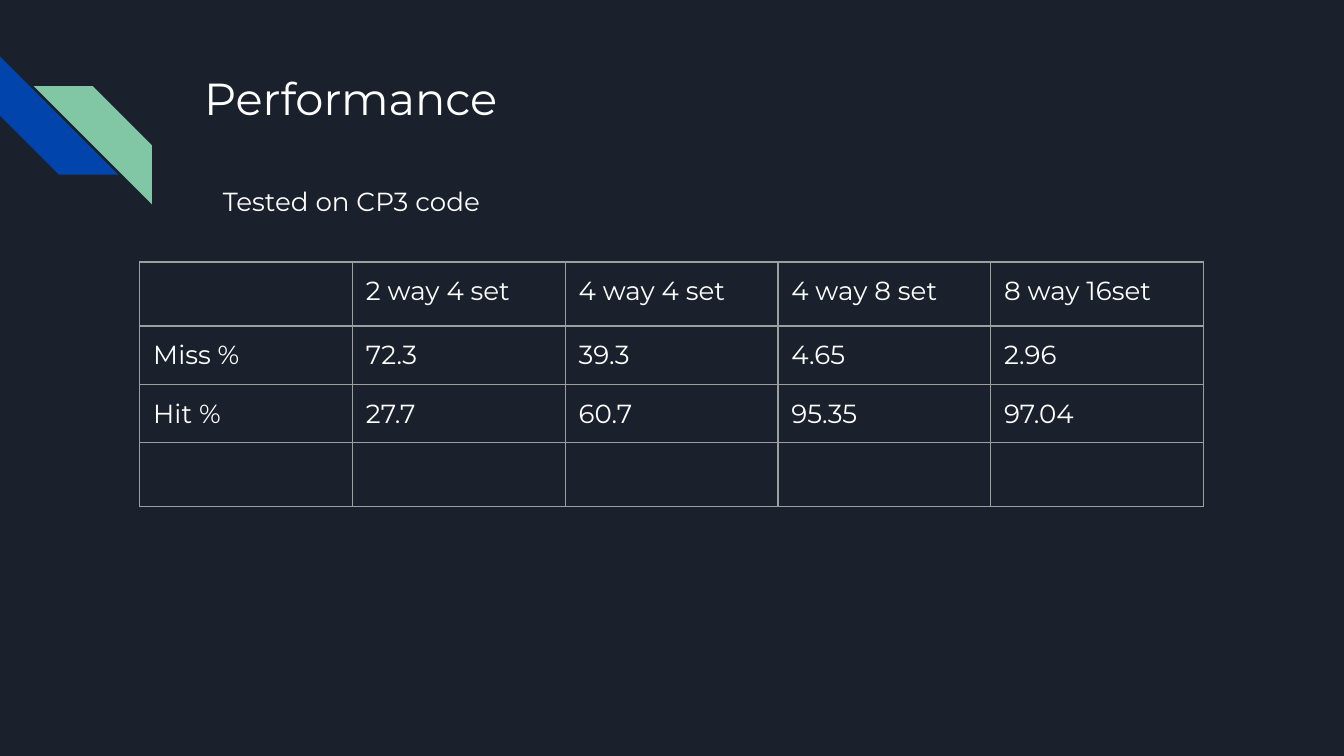
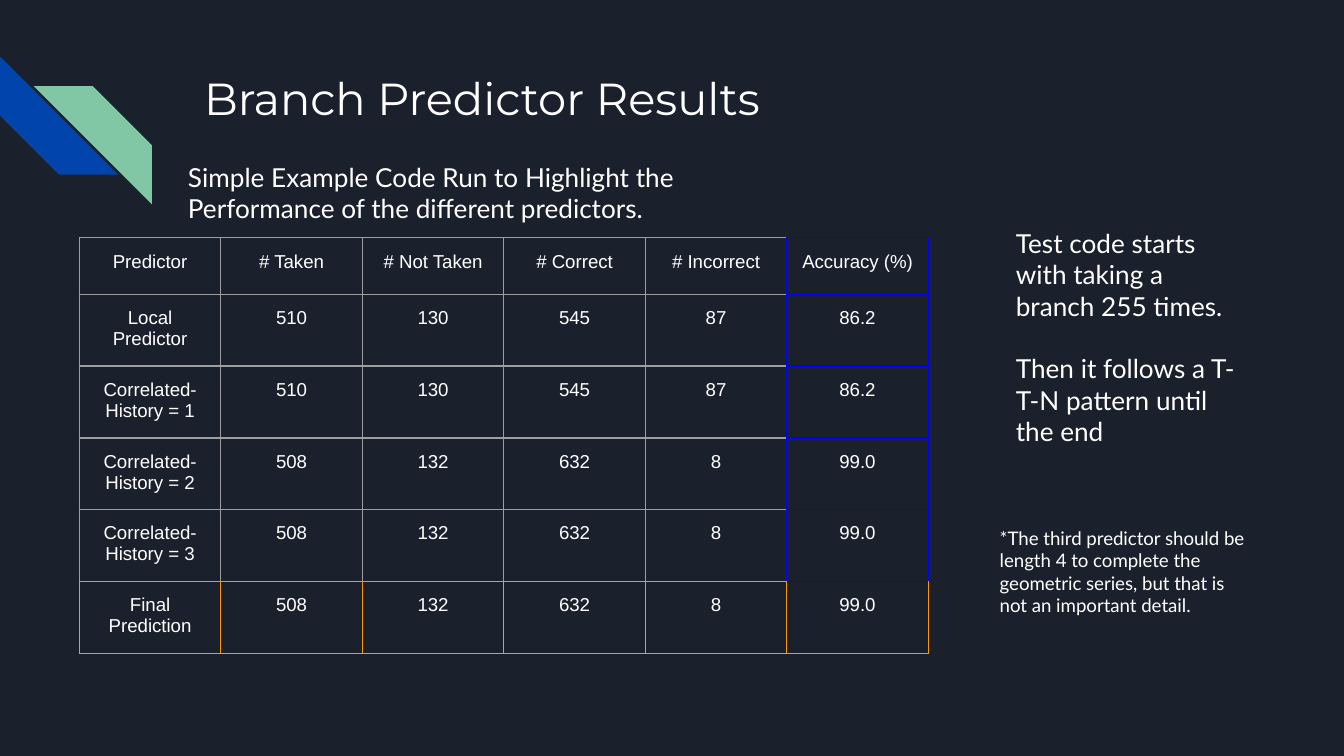
from itertools import product

from lxml.etree import SubElement
from pptx import Presentation
from pptx.dml.color import RGBColor
from pptx.enum.shapes import MSO_SHAPE as Shape
from pptx.enum.text import MSO_ANCHOR as Anchor, PP_ALIGN as Align
from pptx.oxml.ns import qn
from pptx.util import Inches, Pt

UNIT = 0.1
SIDES = {"L": (0, -1), "R": (0, 1), "T": (-1, 0), "B": (1, 0)}
FACING = {"L": "R", "R": "L", "T": "B", "B": "T"}


def grid(count):
    """Turn a number of grid columns or rows into a length."""
    return Inches(count * UNIT)


def color(hex_value):
    """Turn a hex string into a colour."""
    return RGBColor.from_string(hex_value)


class Deck:
    """Holds the shared style and the slide being built."""

    BACKDROP, INK, RULE = "1B212C", "FFFFFF", "9E9E9E"
    BLUE, GREEN = "0145AC", "82C7A5"
    FONT = "Montserrat"
    INSET = 1

    def __init__(self):
        """Start an empty widescreen presentation."""
        self.prs = Presentation()
        self.prs.slide_width, self.prs.slide_height = grid(100), grid(56.25)

    def page(self, title):
        """Add a slide with its backdrop, corner stripes and title."""
        self.slide = self.prs.slides.add_slide(self.prs.slide_layouts[6])
        backdrop = self.slide.background.fill
        backdrop.solid()
        backdrop.fore_color.rgb = color(self.BACKDROP)
        self.stripe(0, 4.2, self.BLUE).rotation = 270
        mirrored = self.stripe(2.5, 6.4, self.GREEN)
        mirrored._element.spPr.find(qn("a:xfrm")).set("flipH", "1")
        self.text(14.2, 4.3, 77, 7, [title], 24)

    def stripe(self, left, top, fill):
        """Add one diagonal corner stripe."""
        stripe = self.slide.shapes.add_shape(
            Shape.DIAGONAL_STRIPE, grid(left), grid(top), grid(8.8), grid(8.8))
        stripe.shadow.inherit = False
        stripe.fill.solid()
        stripe.fill.fore_color.rgb = color(fill)
        stripe.line.fill.background()
        return stripe

    def run(self, paragraph, words, size, font):
        """Add one styled run to a paragraph."""
        run = paragraph.add_run()
        run.text = words
        run.font.size, run.font.name = Pt(size), font
        run.font.color.rgb = color(self.INK)

    def text(self, left, top, width, height, paragraphs, size, font=FONT):
        """Add a text box, its paragraphs one line apart."""
        box = self.slide.shapes.add_textbox(
            grid(left), grid(top), grid(width), grid(height))
        frame = box.text_frame
        frame.word_wrap = True
        frame.vertical_anchor = Anchor.TOP
        frame.margin_left = frame.margin_right = grid(self.INSET)
        frame.margin_top = frame.margin_bottom = grid(self.INSET)
        for index, words in enumerate(paragraphs):
            paragraph = frame.add_paragraph() if index else frame.paragraphs[0]
            if index:
                paragraph.space_before = Pt(size * 1.2)
            self.run(paragraph, words, size, font)

    def table(self, left, top, column, heights, rows, size, font=FONT,
              align=Align.LEFT, outlines=()):
        """Add a ruled table; each outline recolours the edges of some cells."""
        table = self.slide.shapes.add_table(
            len(rows), len(rows[0]), grid(left), grid(top),
            grid(column * len(rows[0])), grid(sum(heights))).table
        table.first_row = table.horz_banding = False
        for table_column in table.columns:
            table_column.width = grid(column)
        for table_row, height in zip(table.rows, heights):
            table_row.height = grid(height)
        places = list(product(range(len(rows)), range(len(rows[0]))))
        edges = {place: dict.fromkeys(SIDES, self.RULE) for place in places}
        for outlined, rule in outlines:
            for (row, col), side in product(outlined, SIDES):
                down, across = SIDES[side]
                edges[row, col][side] = rule
                neighbour = (row + down, col + across)
                if neighbour in edges:
                    edges[neighbour][FACING[side]] = rule
        for row, col in places:
            self.cell(table.cell(row, col), rows[row][col], size, font, align,
                      edges[row, col])

    def cell(self, cell, words, size, font, align, edges):
        """Fill one table cell and draw its borders."""
        cell.margin_left = cell.margin_right = grid(self.INSET)
        cell.margin_top = cell.margin_bottom = grid(self.INSET)
        paragraph = cell.text_frame.paragraphs[0]
        paragraph.alignment = align
        if words:
            self.run(paragraph, words, size, font)
        else:
            SubElement(paragraph._p, qn("a:endParaRPr"), sz=str(size * 100))
        properties = cell._tc.get_or_add_tcPr()
        for side, rule in edges.items():
            line = SubElement(properties, qn(f"a:ln{side}"), w=str(Pt(0.75)))
            solid = SubElement(line, qn("a:solidFill"))
            SubElement(solid, qn("a:srgbClr"), val=rule)
        cell.fill.background()


def performance(deck):
    """Build the cache performance slide."""
    deck.page("Performance")
    cache_rates = [
        ["", "2 way 4 set", "4 way 4 set", "4 way 8 set", "8 way 16set"],
        ["Miss %", "72.3", "39.3", "4.65", "2.96"],
        ["Hit %", "27.7", "60.7", "95.35", "97.04"],
        [""] * 5,
    ]
    deck.table(10.4, 19.5, 15.83, [4.76, 4.2, 4.2, 4.76], cache_rates, 14)
    deck.text(15.6, 12.8, 60.6, 4.4, ["Tested on CP3 code"], 14)


def branch_results(deck):
    """Build the branch predictor slide."""
    deck.page("Branch Predictor Results")
    predictors = [
        ["Predictor", "# Taken", "# Not Taken", "# Correct", "# Incorrect",
         "Accuracy (%)"],
        ["Local Predictor", "510", "130", "545", "87", "86.2"],
        ["Correlated- History = 1", "510", "130", "545", "87", "86.2"],
        ["Correlated- History = 2", "508", "132", "632", "8", "99.0"],
        ["Correlated- History = 3", "508", "132", "632", "8", "99.0"],
        ["Final Prediction", "508", "132", "632", "8", "99.0"],
    ]
    final_row = [(5, col) for col in range(6)]
    accuracy = [(row, 5) for row in range(5)]
    deck.table(5.9, 17.7, 10.53, [4.2] * 6, predictors, 10, "Arial",
               Align.CENTER, [(final_row, "FF9900"), (accuracy, "0000FF")])
    deck.text(13, 11, 44.9, 6.7, [
        "Simple Example Code Run to Highlight the Performance of the "
        "different predictors."], 14, "Lato")
    deck.text(74.6, 15.9, 19.1, 18.5, [
        "Test code starts with taking a branch 255 times.",
        "Then it follows a T-T-N pattern until the end"], 14, "Lato")
    deck.text(73.4, 38.2, 20.3, 8.8, [
        "*The third predictor should be length 4 to complete the geometric "
        "series, but that is not an important detail."], 10, "Lato")


def main():
    """Build both slides and save them."""
    deck = Deck()
    performance(deck)
    branch_results(deck)
    deck.prs.save("out.pptx")


if __name__ == "__main__":
    main()
